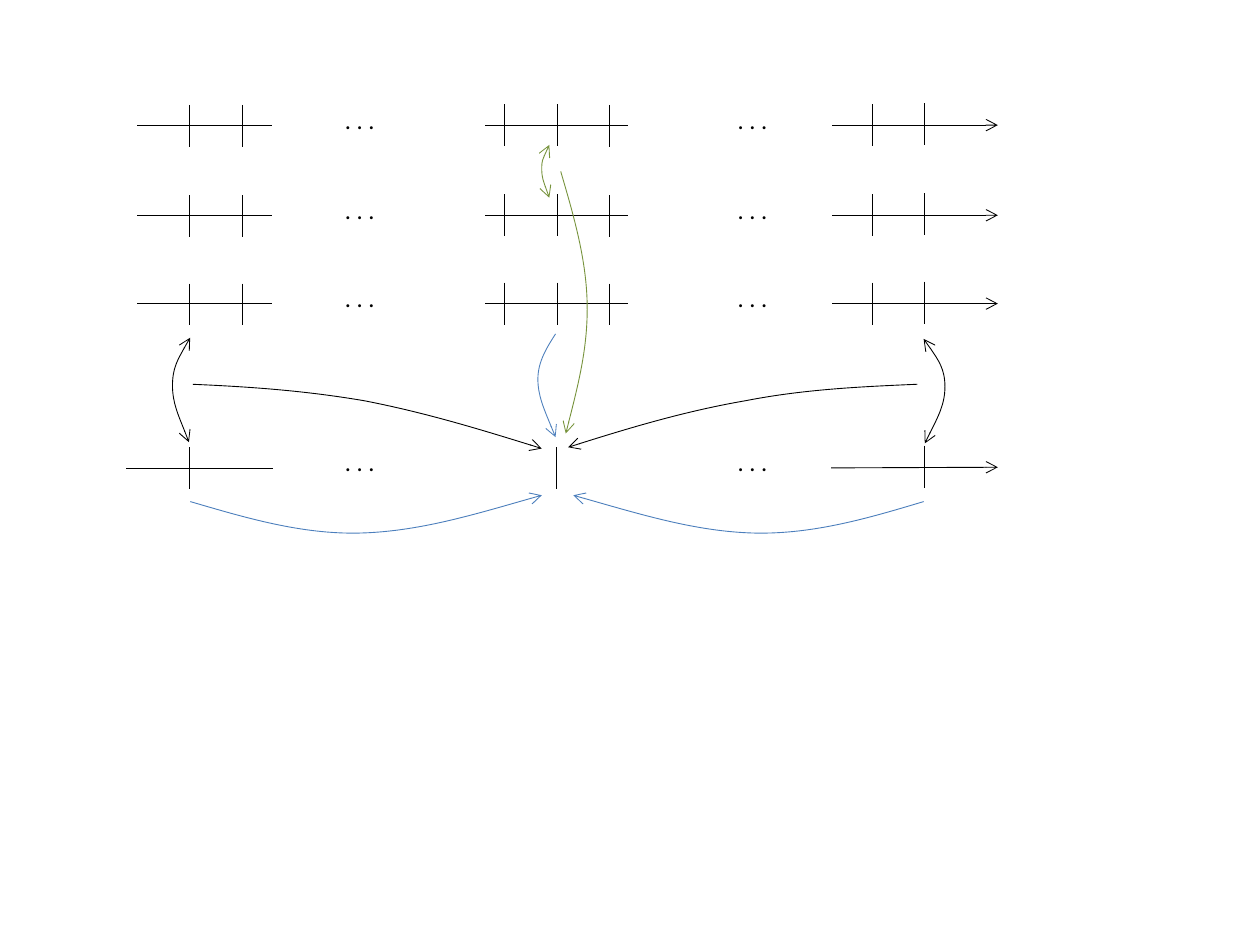
from lxml.etree import SubElement
from pptx import Presentation
from pptx.dml.color import RGBColor
from pptx.enum.shapes import MSO_CONNECTOR, MSO_SHAPE
from pptx.enum.text import MSO_AUTO_SIZE
from pptx.oxml.ns import qn
from pptx.util import Pt

COLORS = {"ink": "000000", "paper": "FFFFFF", "blue": "4B7EBC", "sky": "4F81BD", "green": "77933C"}


class Diagram:
    """Draws timelines and curved arrows on one slide in a shared style."""

    font, text_size, line_width = "Calibri", 14, 0.5

    def __init__(self, page):
        self.page = page
        self.shapes = page.shapes

    def start_group(self):
        self.shapes = self.page.shapes.add_group_shape().shapes

    def color(self, name):
        return RGBColor.from_string(COLORS[name])

    def stroke(self, shape, color, width, ends=()):
        shape.line.color.rgb = self.color(color)
        shape.line.width = Pt(width)
        outline = next(shape._element.iter(qn("a:ln")))
        for end in ends:
            SubElement(outline, qn(f"a:{end}End"), type="arrow")

    def line(self, x1, y1, x2, y2, ends=()):
        connector = self.shapes.add_connector(MSO_CONNECTOR.STRAIGHT, Pt(x1), Pt(y1), Pt(x2), Pt(y2))
        self.stroke(connector, "ink", self.line_width, ends)
        SubElement(connector._element.spPr, qn("a:effectLst"))

    def gap(self, left, top, width):
        box = self.shapes.add_shape(MSO_SHAPE.RECTANGLE, Pt(left), Pt(top), Pt(width), Pt(25.2))
        box.shadow.inherit = False
        box.fill.solid()
        box.fill.fore_color.rgb = self.color("paper")
        self.stroke(box, "paper", 2)

    def dots(self, left, top):
        box = self.shapes.add_textbox(Pt(left), Pt(top), Pt(31.7), Pt(24.2))
        frame = box.text_frame
        frame.word_wrap = False
        frame.auto_size = MSO_AUTO_SIZE.SHAPE_TO_FIT_TEXT
        frame.text = ". . ."
        span = frame.paragraphs[0].runs[0]
        span.font.name = self.font
        span.font.size = Pt(self.text_size)
        span.font.color.rgb = self.color("ink")

    def curve(self, color, ends, points):
        start, *others = [(Pt(x), Pt(y)) for x, y in points]
        builder = self.page.shapes.build_freeform(*start)
        builder.add_line_segments(others, close=False)
        shape = builder.convert_to_shape()
        shape.shadow.inherit = False
        shape.fill.background()
        self.stroke(shape, color, self.line_width, ends)
        outline = next(shape._element.iter(qn("a:path")))
        segments = outline.findall(qn("a:lnTo"))
        for first in range(0, len(segments), 3):
            bezier = SubElement(outline, qn("a:cubicBezTo"))
            for segment in segments[first:first + 3]:
                bezier.append(segment[0])
                outline.remove(segment)

    def timeline(self, axis, lines, gaps, ticks, dot_top):
        self.start_group()
        for x1, x2, rise, ends in lines:
            self.line(x1, axis, x2, axis - rise, ends)
        for left, offset, width in gaps:
            self.gap(left, axis + offset, width)
        for x, offset in ticks:
            self.line(x, axis + offset, x, axis + offset + 24)
        for left in (190, 414.5):
            self.dots(left, axis + dot_top)


FULL_TICKS = [(108.5, -11.5), (138.5, -11.5), (288.5, -12), (318.5, -12),
              (348, -11.5), (498.5, -12), (528.5, -12.5)]
FULL_LINES = [(78.5, 570.2, 0, ["tail"])]
FULL_GAPS = [(156.2, -12.2, 120.2), (360, -13, 114.5)]
LAST_TICKS = [(108.2, -12), (318, -12.2), (528.2, -13)]
LAST_LINES = [(396, 570.2, 0.7, ["tail"]), (72, 156.2, 0, [])]
LAST_GAPS = [(162, -13, 90), (383.8, -13.7, 90)]
BOTH = ["head", "tail"]
CURVES = [
    ("blue", ["tail"], [(108.7, 286.6), (140.4, 295.9), (172.1, 305.3), (205.2, 304.6),
                        (239, 303.8), (274.3, 293), (309.6, 283)]),
    ("blue", ["tail"], [(527.8, 286.6), (496.8, 295.9), (465.1, 305.3), (431.3, 304.6),
                        (398.2, 303.8), (362.9, 293), (327.6, 283)]),
    ("sky", ["tail"], [(317.5, 190.8), (312.5, 198.7), (307.4, 206.6), (307.4, 216.7),
                       (307.4, 226.1), (312.5, 237.6), (317.5, 249.8)]),
    ("ink", BOTH, [(108.7, 193), (103.7, 201.6), (98.6, 210.2), (98.6, 220.3),
                   (98.6, 230.4), (103.7, 241.2), (108, 252.7)]),
    ("ink", BOTH, [(527.8, 193.7), (534.2, 202.3), (540, 211), (540, 221),
                   (540, 231.1), (534.2, 241.9), (528.5, 253.4)]),
    ("ink", ["tail"], [(110.2, 219.6), (142.6, 221), (174.2, 223.2), (208.1, 229),
                       (241.2, 235.4), (275, 245.5), (309.6, 256.3)]),
    ("ink", ["tail"], [(524.2, 219.6), (491.8, 221), (459.4, 222.5), (426.2, 229),
                       (393.1, 234.7), (358.6, 244.8), (324.7, 255.6)]),
    ("green", BOTH, [(313.9, 82.8), (311.8, 87.1), (309.6, 91.4), (309.6, 96.5),
                     (309.6, 101.5), (311.8, 107.3), (313.9, 113)]),
    ("green", ["tail"], [(320.4, 97.9), (327.6, 122.4), (334.8, 146.9), (335.5, 172.1),
                         (336.2, 197.3), (329.8, 222.5), (323.3, 247.7)]),
]


def main():
    deck = Presentation()
    deck.slide_width, deck.slide_height = Pt(720), Pt(540)
    diagram = Diagram(deck.slides.add_slide(deck.slide_layouts[6]))
    for axis in (71.5, 123, 173.5):
        diagram.timeline(axis, FULL_LINES, FULL_GAPS, FULL_TICKS, -15.2)
    diagram.timeline(267.7, LAST_LINES, LAST_GAPS, LAST_TICKS, -15.8)
    for color, ends, points in CURVES:
        diagram.curve(color, ends, points)
    deck.save("out.pptx")


if __name__ == "__main__":
    main()
